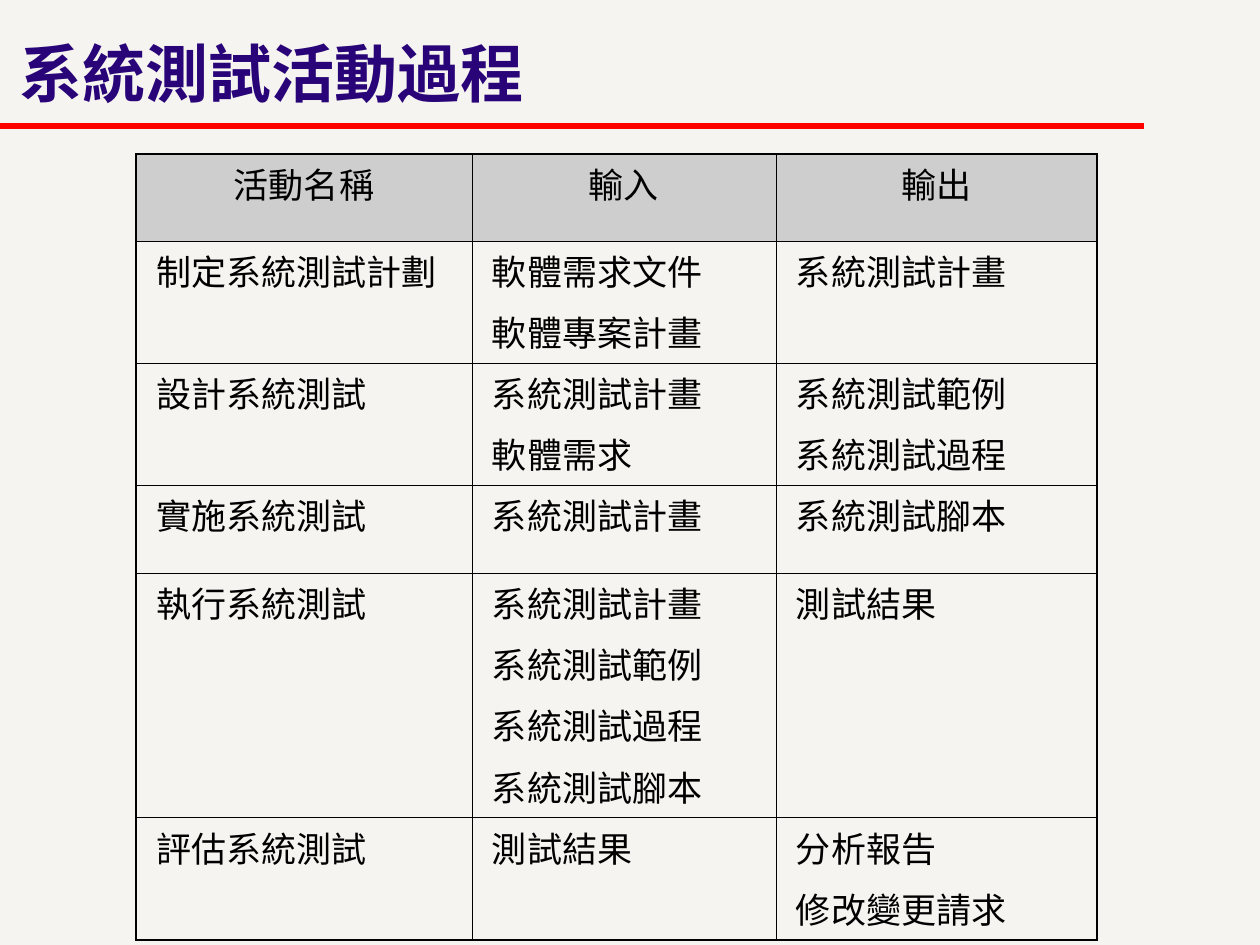
from pptx import Presentation
from pptx.dml.color import RGBColor
from pptx.enum.shapes import MSO_CONNECTOR
from pptx.enum.text import MSO_ANCHOR, PP_ALIGN
from pptx.oxml.xmlchemy import OxmlElement
from pptx.util import Pt

PX = 914400 / 126
STRAIGHT = MSO_CONNECTOR.STRAIGHT
MIDDLE, TOP = MSO_ANCHOR.MIDDLE, MSO_ANCHOR.TOP
CENTER, LEFT = PP_ALIGN.CENTER, PP_ALIGN.LEFT

COLORS = {"back": "F6F4F0", "rule": "FF0000", "title": "280478",
          "text": "000000", "header": "CECECE", "border": "000000"}
TITLE_FONT = {"name": "Arial", "size": Pt(36), "bold": True}
CELL_FONT = {"name": "Arial", "size": Pt(20), "bold": False}
OUTER, INNER = Pt(1.08), Pt(0.45)

COL_WIDTHS = [336, 304, 321]
ROW_HEIGHTS = [87, 122, 122, 88, 245, 122]
ACTIVITIES = [
    ("活動名稱", "輸入", "輸出"),
    ("制定系統測試計劃", "軟體需求文件\n軟體專案計畫", "系統測試計畫"),
    ("設計系統測試", "系統測試計畫\n軟體需求", "系統測試範例\n系統測試過程"),
    ("實施系統測試", "系統測試計畫", "系統測試腳本"),
    ("執行系統測試", "系統測試計畫\n系統測試範例\n系統測試過程\n系統測試腳本", "測試結果"),
    ("評估系統測試", "測試結果", "分析報告\n修改變更請求"),
]


def emu(px):
    """Turn px into EMU."""
    return round(px * PX)


def rgb(key):
    """Return the named colour."""
    return RGBColor.from_string(COLORS[key])


def set_all(obj, values):
    """Set each attribute in the dict on the object."""
    for name, value in values.items():
        setattr(obj, name, value)


def margins(across, down):
    """Return equal side margins and equal top and bottom margins."""
    return {"margin_left": emu(across), "margin_right": emu(across),
            "margin_top": emu(down), "margin_bottom": emu(down)}


def add_text(p, text, font, color):
    """Add one formatted run to a paragraph."""
    r = p.add_run()
    r.text = text
    set_all(r.font, font)
    r.font.color.rgb = rgb(color)


def add_title(slide, x, y, w, h, text):
    """Place the title and the red rule that crosses its box."""
    rule_y = emu(y + 126)
    line = slide.shapes.add_connector(STRAIGHT, emu(x), rule_y, emu(x + 1144), rule_y)
    line.line.color.rgb = rgb("rule")
    line.line.width = Pt(3)
    line._element.spPr.append(OxmlElement("a:effectLst"))
    tf = slide.shapes.add_textbox(emu(x), emu(y), emu(w), emu(h)).text_frame
    set_all(tf, {"word_wrap": True, "vertical_anchor": MIDDLE, **margins(20, 10)})
    p = tf.paragraphs[0]
    p.line_spacing = 0.85
    add_text(p, text, TITLE_FONT, "title")


def set_borders(cell, widths):
    """Draw the left, right, top and bottom borders of a cell."""
    tc_pr = cell._tc.get_or_add_tcPr()
    for i, (side, width) in enumerate(zip("LRTB", widths)):
        ln = OxmlElement(f"a:ln{side}")
        ln.set("w", str(width))
        fill = OxmlElement("a:solidFill")
        color = OxmlElement("a:srgbClr")
        color.set("val", COLORS["border"])
        fill.append(color)
        ln.append(fill)
        tc_pr.insert(i, ln)


def fill_cell(cell, text, is_header):
    """Write the lines of a cell and set its fill."""
    set_all(cell, {"vertical_anchor": TOP, **margins(20, 6)})
    if is_header:
        cell.fill.solid()
        cell.fill.fore_color.rgb = rgb("header")
    else:
        cell.fill.background()
    tf = cell.text_frame
    for i, line in enumerate(text.split("\n")):
        p = tf.add_paragraph() if i else tf.paragraphs[0]
        set_all(p, {"alignment": CENTER if is_header else LEFT, "line_spacing": 0.95,
                    "space_before": Pt(1.2 if i else 0), "space_after": Pt(6.2)})
        add_text(p, line, CELL_FONT, "text")


def add_activity_table(slide, x, y, rows):
    """Place the table of activities with a heavier outer frame."""
    n_rows, n_cols = len(rows), len(COL_WIDTHS)
    table = slide.shapes.add_table(n_rows, n_cols, emu(x), emu(y),
                                   emu(sum(COL_WIDTHS)), emu(sum(ROW_HEIGHTS))).table
    set_all(table, {"first_row": False, "horz_banding": False})
    for col, width in zip(table.columns, COL_WIDTHS):
        col.width = emu(width)
    for i, (row, height) in enumerate(zip(rows, ROW_HEIGHTS)):
        table.rows[i].height = emu(height)
        for j, text in enumerate(row):
            cell = table.cell(i, j)
            fill_cell(cell, text, i == 0)
            edges = (j == 0, j == n_cols - 1, i == 0, i == n_rows - 1)
            set_borders(cell, [OUTER if edge else INNER for edge in edges])


def main():
    """Build the slide and save it."""
    prs = Presentation()
    set_all(prs, {"slide_width": emu(1260), "slide_height": emu(945)})
    slide = prs.slides.add_slide(prs.slide_layouts[6])
    slide.background.fill.solid()
    slide.background.fill.fore_color.rgb = rgb("back")
    add_title(slide, 0, 0, 1121, 157, "系統測試活動過程")
    add_activity_table(slide, 136, 154, ACTIVITIES)
    prs.save("out.pptx")


if __name__ == "__main__":
    main()
